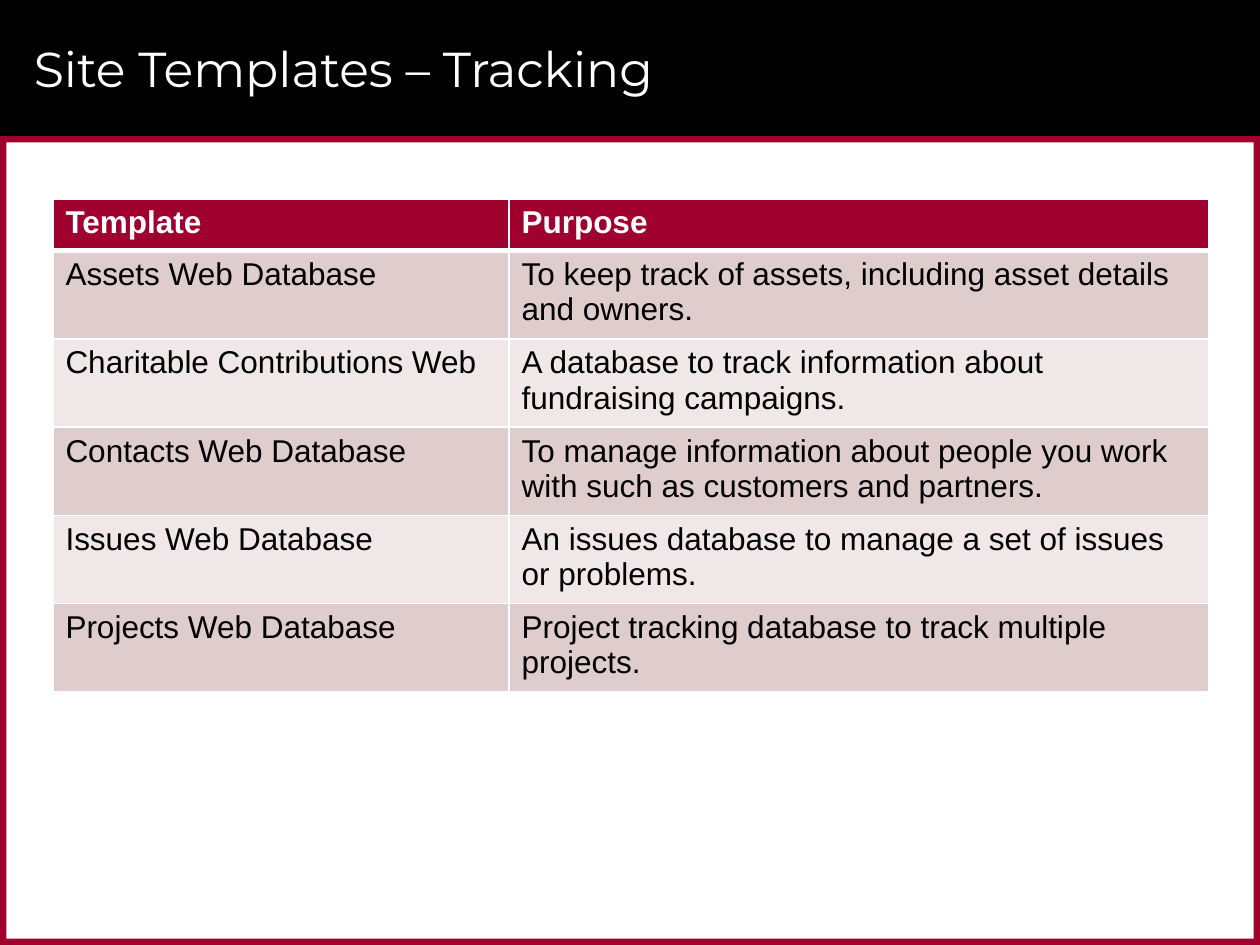
"""Build the site templates slide: a framed page with a title and a two-column table."""
from lxml import etree
from pptx import Presentation
from pptx.dml.color import RGBColor
from pptx.enum.shapes import MSO_SHAPE
from pptx.enum.text import MSO_ANCHOR
from pptx.oxml.ns import qn
from pptx.util import Inches, Pt

RECT = MSO_SHAPE.RECTANGLE
MIDDLE = MSO_ANCHOR.MIDDLE

TITLE = "Site Templates – Tracking"
ROWS = [
    ("Template", "Purpose"),
    ("Assets Web Database",
     "To keep track of assets, including asset details and owners."),
    ("Charitable Contributions Web",
     "A database to track information about fundraising campaigns."),
    ("Contacts Web Database",
     "To manage information about people you work with such as customers and partners."),
    ("Issues Web Database",
     "An issues database to manage a set of issues or problems."),
    ("Projects Web Database",
     "Project tracking database to track multiple projects."),
]

THEME = {
    "black": "000000", "white": "FFFFFF", "red": "9F002D",
    "bands": ("DFCCCD", "F0E7E8"),
    "title_font": "Montserrat", "body_font": "Arial",
    "title_size": 28, "body_size": 18,
}

WIDTH, HEIGHT = 10, 7.5
BANNER, EDGE = 1.08, 0.05
TABLE_LEFT, TABLE_TOP = 0.42, 1.58
COLUMNS = (3.62, 5.55)
HEADER_HEIGHT, ROW_HEIGHT = 0.41, 0.66


def add_bar(slide, box, color):
    sp = slide.shapes.add_shape(RECT, *map(Inches, box))
    sp.shadow.inherit = False
    sp.fill.solid()
    sp.fill.fore_color.rgb = RGBColor.from_string(color)
    sp.line.fill.background()


def style_text(p, font, size, color, bold=False):
    for r in p.runs:
        r.font.name = font
        r.font.size = Pt(size)
        r.font.bold = bold
        r.font.color.rgb = RGBColor.from_string(color)


def add_frame(slide):
    side = HEIGHT - BANNER
    add_bar(slide, (0, 0, WIDTH, BANNER), THEME["black"])
    for box in (
        (0, BANNER, WIDTH, EDGE),
        (0, HEIGHT - EDGE, WIDTH, EDGE),
        (WIDTH - EDGE, BANNER, EDGE, side),
        (0, BANNER, EDGE, side),
    ):
        add_bar(slide, box, THEME["red"])


def add_title(slide):
    sp = slide.shapes.add_textbox(Inches(0.17), Inches(0.08), Inches(9.42), Inches(0.92))
    tf = sp.text_frame
    tf.word_wrap = True
    tf.vertical_anchor = MIDDLE
    tf.text = TITLE
    style_text(tf.paragraphs[0], THEME["title_font"], THEME["title_size"], THEME["white"])


def set_borders(cell, widths):
    tc_pr = cell._tc.get_or_add_tcPr()
    for i, (side, width) in enumerate(widths.items()):
        ln = etree.Element(qn(f"a:ln{side}"), w=str(Pt(width)))
        fill = etree.SubElement(ln, qn("a:solidFill"))
        etree.SubElement(fill, qn("a:srgbClr"), val=THEME["white"])
        tc_pr.insert(i, ln)


def add_table(slide):
    heights = [HEADER_HEIGHT] + [ROW_HEIGHT] * (len(ROWS) - 1)
    table = slide.shapes.add_table(
        len(ROWS), len(COLUMNS), Inches(TABLE_LEFT), Inches(TABLE_TOP),
        Inches(sum(COLUMNS)), Inches(sum(heights))).table
    for column, width in zip(table.columns, COLUMNS):
        column.width = Inches(width)
    for i, (texts, height) in enumerate(zip(ROWS, heights)):
        table.rows[i].height = Inches(height)
        header = i == 0
        fill = THEME["red"] if header else THEME["bands"][(i - 1) % 2]
        color = THEME["white"] if header else THEME["black"]
        borders = {"L": 1, "R": 1, "T": 3 if i == 1 else 1, "B": 3 if header else 1}
        for j, text in enumerate(texts):
            cell = table.cell(i, j)
            cell.text = text
            cell.fill.solid()
            cell.fill.fore_color.rgb = RGBColor.from_string(fill)
            set_borders(cell, borders)
            style_text(cell.text_frame.paragraphs[0], THEME["body_font"],
                       THEME["body_size"], color, header)


def main():
    prs = Presentation()
    prs.slide_width, prs.slide_height = Inches(WIDTH), Inches(HEIGHT)
    slide = prs.slides.add_slide(prs.slide_layouts[6])
    add_frame(slide)
    add_title(slide)
    add_table(slide)
    prs.save("out.pptx")


if __name__ == "__main__":
    main()
